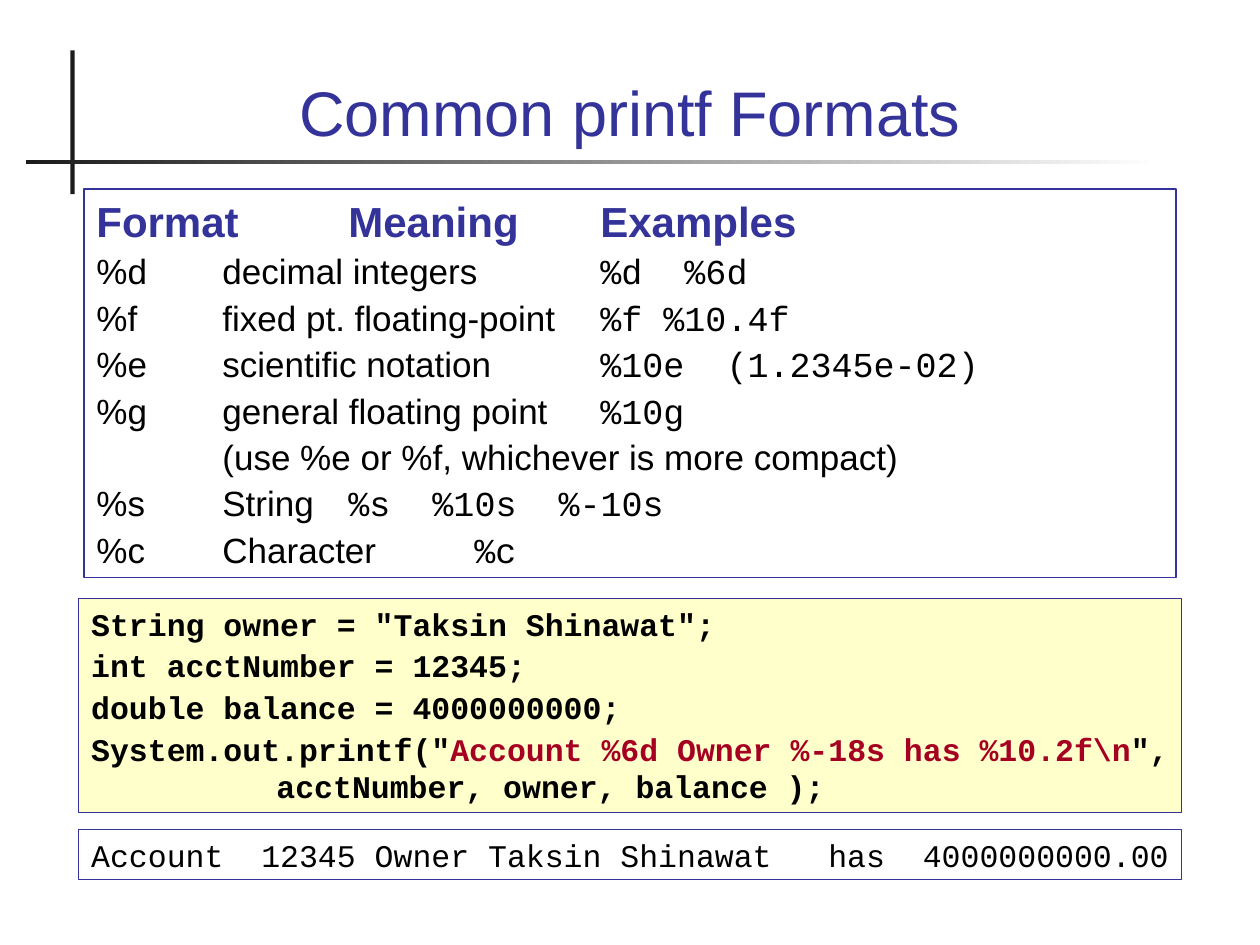
from pptx import Presentation
from pptx.dml.color import RGBColor as RGB
from pptx.enum.shapes import MSO_SHAPE as Shape
from pptx.enum.text import MSO_ANCHOR as Anchor, PP_ALIGN as Align
from pptx.oxml.ns import qn
from pptx.util import Inches, Pt
from lxml.etree import SubElement

NAVY = RGB(0x33, 0x33, 0x99)
BLACK = RGB(0, 0, 0)
INK = RGB(0x1C, 0x1C, 0x1C)
WHITE = RGB(0xFF, 0xFF, 0xFF)
CREAM = RGB(0xFF, 0xFF, 0xCC)
RED = RGB(0xA5, 0x00, 0x21)
SANS, MONO = "Arial", "Courier New"
COLS, ROWS = 120, 90

FORMATS = [
    ("%d\tdecimal integers\t", "%d  %6d"),
    ("%f\tfixed pt. floating-point\t", "%f %10.4f"),
    ("%e\tscientific notation\t", "%10e  (1.2345e-02)"),
    ("%g\tgeneral floating point\t", "%10g"),
    ("\t(use %e or %f, whichever is more compact)", ""),
    ("%s\tString\t", "%s  %10s  %-10s"),
    ("%c\tCharacter\t", "%c"),
]
CODE = [
    'String owner = "Taksin Shinawat";',
    "int acctNumber = 12345;",
    "double balance = 4000000000;",
]


class Deck:
    def __init__(self):
        self.prs = Presentation()
        self.prs.slide_width, self.prs.slide_height = Inches(10), Inches(7.5)
        self.slide = self.prs.slides.add_slide(self.prs.slide_layouts[6])

    def place(self, col, row, wide, high):
        x, y = self.prs.slide_width / COLS, self.prs.slide_height / ROWS
        return [round(n) for n in (col * x, row * y, wide * x, high * y)]

    def rect(self, *grid):
        shape = self.slide.shapes.add_shape(Shape.RECTANGLE, *self.place(*grid))
        shape.shadow.inherit = False
        return shape

    def bar(self, *grid, fade=False):
        shape = self.rect(*grid)
        shape.line.fill.background()
        if fade:
            shape.fill.gradient()
            shape.fill.gradient_angle = 0
            for stop, color in zip(shape.fill.gradient_stops, (INK, WHITE)):
                stop.color.rgb = color
        else:
            shape.fill.solid()
            shape.fill.fore_color.rgb = INK

    def title(self, text, *grid):
        box = self.slide.shapes.add_textbox(*self.place(*grid))
        frame = box.text_frame
        frame.word_wrap = True
        frame.vertical_anchor = Anchor.BOTTOM
        para = self.para(frame, [text], 36, SANS, NAVY)
        para.alignment = Align.CENTER

    def panel(self, *grid, fill=None):
        shape = self.rect(*grid)
        shape.line.color.rgb = NAVY
        shape.line.width = Pt(0.75)
        if fill is None:
            shape.fill.background()
        else:
            shape.fill.solid()
            shape.fill.fore_color.rgb = fill
        frame = shape.text_frame
        frame.word_wrap = True
        frame.vertical_anchor = Anchor.TOP
        frame.margin_right = Inches(0.05)
        return frame

    def para(self, frame, parts, size, face, color, bold=False, gap=0, tab=1):
        first = frame.paragraphs[0]
        para = frame.add_paragraph() if first.runs else first
        stops = SubElement(para._p.get_or_add_pPr(), qn("a:tabLst"))
        for n in range(1, 9):
            SubElement(stops, qn("a:tab"), pos=str(Inches(n * tab)), algn="l")
        para.alignment = Align.LEFT
        para.space_before = Pt(gap)
        font = para.font
        font.size, font.bold, font.color.rgb = Pt(size), bold, color
        if face:
            font.name = face
        for part in parts:
            if part == "\n":
                para.add_line_break()
            elif part:
                para.add_run().text = part
        return para

    def table(self, *grid):
        frame = self.panel(*grid)
        self.para(frame, ["Format\tMeaning\tExamples"], 24, SANS, NAVY, True)
        for parts in FORMATS:
            para = self.para(frame, parts, 20, None, BLACK, gap=2.5)
            for run, face in zip(para.runs, (SANS, MONO)):
                run.font.name = face

    def code(self, *grid):
        frame = self.panel(*grid, fill=CREAM)
        call = ['System.out.printf("', "Account %6d Owner %-18s has %10.2f\\n",
                '",', "\n", "\t\t\tacctNumber, owner, balance );"]
        for n, parts in enumerate([[line] for line in CODE] + [call]):
            para = self.para(frame, parts, 18, MONO, BLACK, True,
                             gap=2.2 if n else 0, tab=0.49)
        para.runs[1].font.color.rgb = RED

    def output(self, text, *grid):
        self.para(self.panel(*grid), [text], 18, MONO, BLACK)


def main():
    deck = Deck()
    deck.bar(6.7, 4.8, 0.4, 13.7)
    deck.bar(2.5, 15.2, 107.9, 0.4, fade=True)
    deck.title("Common printf Formats", 8, 3.4, 104, 11.4)
    deck.table(8, 18, 104, 37)
    deck.code(7.5, 57, 105, 20.4)
    deck.output("Account  12345 Owner Taksin Shinawat   has  4000000000.00",
                7.5, 79, 105, 4.8)
    deck.prs.save("out.pptx")


if __name__ == "__main__":
    main()
